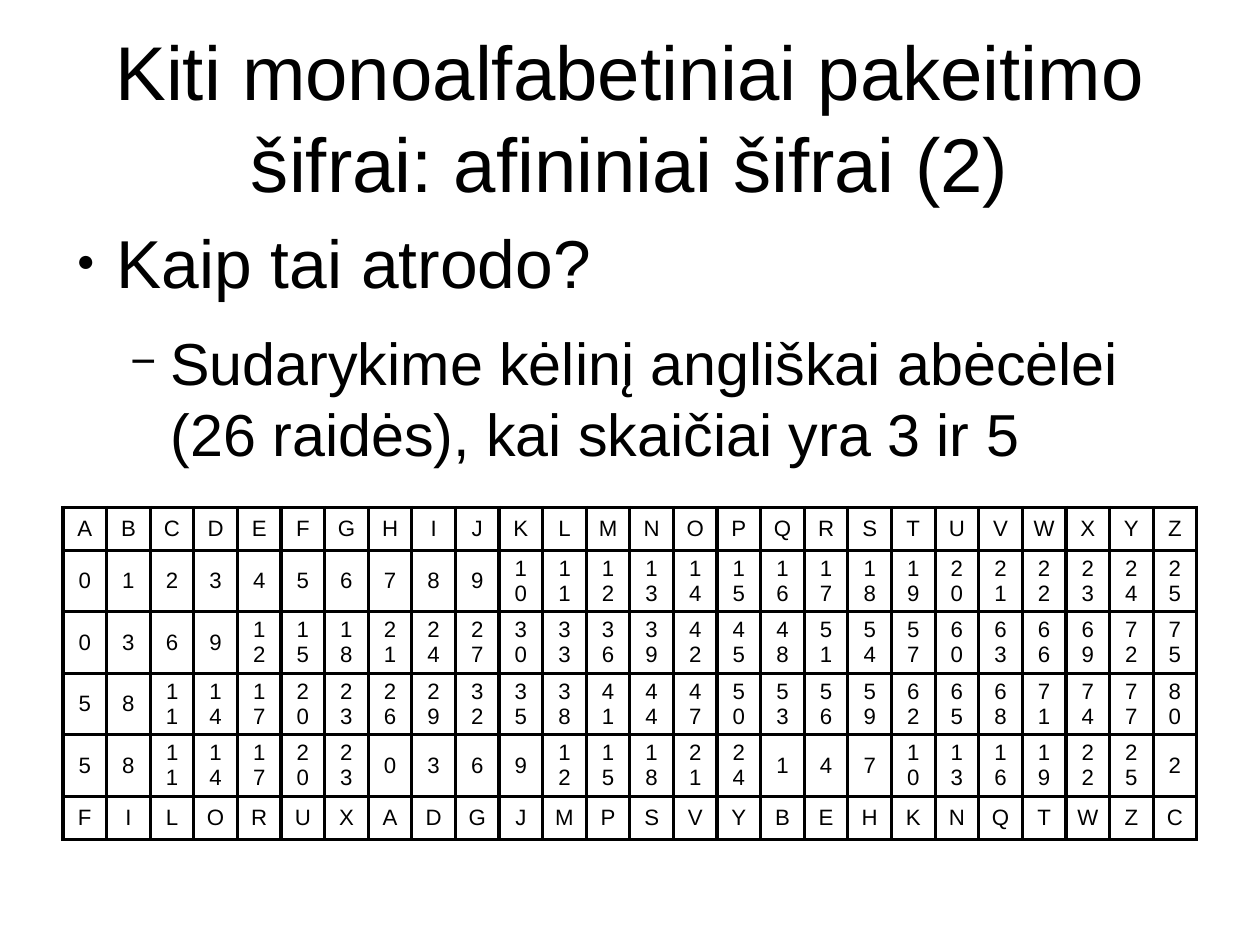
import pptx
import pptx.util
import pptx.dml.color
import pptx.enum.text
import pptx.oxml
import pptx.oxml.ns
from lxml import etree

Inches, Pt, Cm = pptx.util.Inches, pptx.util.Pt, pptx.util.Cm
Align, Anchor = pptx.enum.text.PP_ALIGN, pptx.enum.text.MSO_ANCHOR
BLACK = pptx.dml.color.RGBColor(0, 0, 0)
WHITE = pptx.dml.color.RGBColor(255, 255, 255)
FONT = "Arial"

deck = pptx.Presentation()
deck.slide_width, deck.slide_height = Cm(28), Cm(21)
slide = deck.slides.add_slide(deck.slide_layouts[6])
left = deck.slide_width // 20
wide = deck.slide_width - 2 * left


def add_box(top, height):
    box = slide.shapes.add_textbox(left, Inches(top), wide, Inches(height))
    frame = box.text_frame
    frame.word_wrap = True
    frame.margin_left = frame.margin_right = 0
    frame.margin_top = frame.margin_bottom = 0
    return frame


def style(para, text, size):
    para.text = text
    para.font.name = FONT
    para.font.size = Pt(size)
    para.font.color.rgb = BLACK


# Title
title = add_box(0.27, 1.49)
title.auto_size = pptx.enum.text.MSO_AUTO_SIZE.SHAPE_TO_FIT_TEXT
title.vertical_anchor = Anchor.MIDDLE
head = title.paragraphs[0]
head.alignment = Align.CENTER
style(head, "Kiti monoalfabetiniai pakeitimo šifrai: afininiai šifrai (2)", 48)

# Bullets: text, size, level, space before, mark, mark size in percent
points = [
    ("Kaip tai atrodo?", 42.7, 0, 0, "●", 45),
    ("Sudarykime kėlinį angliškai abėcėlei (26 raidės), kai skaičiai yra 3 ir 5",
     37.3, 1, 15.1, "−", 75),
]
body = add_box(1.93, 2.29)
for text, size, level, gap, mark, share in points:
    para = body.add_paragraph() if level else body.paragraphs[0]
    para.level = level
    para.space_before = Pt(gap)
    props = para._p.get_or_add_pPr()
    props.set("marL", str(Inches(0.47 * (level + 1))))
    props.set("indent", str(Inches(-0.35)))
    for tag, key, value in [("a:buSzPct", "val", str(share * 1000)),
                            ("a:buFont", "typeface", FONT),
                            ("a:buChar", "char", mark)]:
        etree.SubElement(props, pptx.oxml.ns.qn(tag)).set(key, value)
    style(para, text, size)

# Affine cipher rows: letter, n, 3n, 3n + 5, the rest by 26, new letter
letters = "ABCDEFGHIJKLMNOPQRSTUVWXYZ"
count = len(letters)
times, shift = 3, 5
steps = [times * n + shift for n in range(count)]
codes = [step % count for step in steps]
rows = [letters, range(count), [times * n for n in range(count)],
        steps, codes, [letters[code] for code in codes]]

# Table
high = Inches(2.25)
table = slide.shapes.add_table(len(rows), count, left, Inches(4.44),
                               wide, high).table
table.first_row = table.horz_banding = False
for col in table.columns:
    col.width = wide // count
for r, row in enumerate(rows):
    table.rows[r].height = high // len(rows)
    for c, value in enumerate(row):
        cell = table.cell(r, c)
        cell.vertical_anchor = Anchor.MIDDLE
        cell.margin_top = cell.margin_bottom = Cm(0.09)
        para = cell.text_frame.paragraphs[0]
        para.alignment = Align.CENTER
        style(para, str(value), 14)
        # Borders come before the fill
        props = cell._tc.get_or_add_tcPr()
        for side in "LRTB":
            props.append(pptx.oxml.parse_xml(
                f'<a:ln{side} {pptx.oxml.ns.nsdecls("a")} w="{Pt(2.27)}">'
                f'<a:solidFill><a:srgbClr val="{BLACK}"/></a:solidFill>'
                f'</a:ln{side}>'))
        cell.fill.solid()
        cell.fill.fore_color.rgb = WHITE

deck.save("out.pptx")
